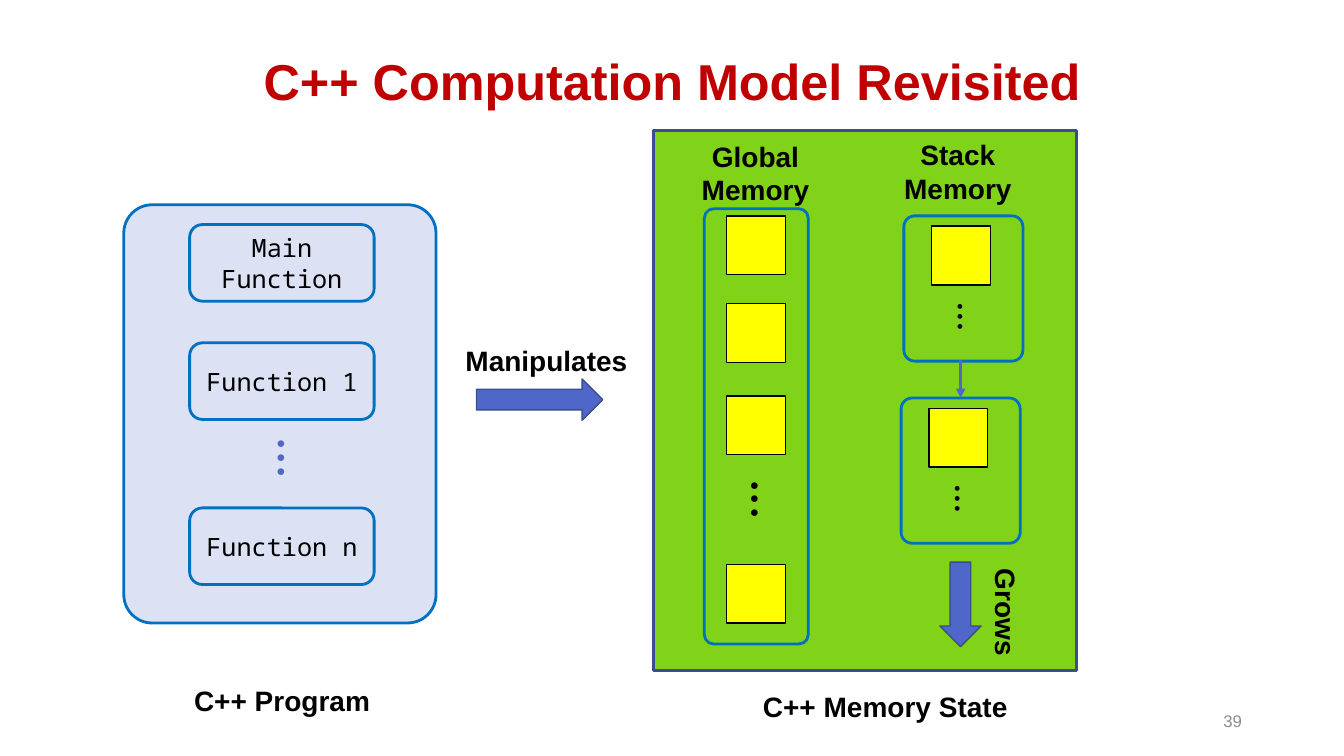
from dataclasses import dataclass

from lxml.etree import SubElement
from pptx import Presentation
from pptx.dml.color import RGBColor
from pptx.enum.shapes import MSO_CONNECTOR, MSO_SHAPE
from pptx.enum.text import MSO_ANCHOR, PP_ALIGN
from pptx.oxml.ns import qn
from pptx.shapes.autoshape import Shape
from pptx.slide import Slide
from pptx.util import Cm, Pt

COLORS = {
    "title": "C00000", "number": "8C8C8C", "text": "000000",
    "memory": "81D31A", "program": "DCE1F4", "cell": "FFFF00",
    "frame": "0070C0", "arrow": "4E67C8", "edge": "3A4C94",
}
CELL_SIZE = 1.48
FRAME_WIDTH, FRAME_HEIGHT = 3.0, 3.66
FUNCTION_LEFT, FUNCTION_WIDTH, FUNCTION_HEIGHT = 4.78, 4.65, 1.93
DOTS = "● ● ●"


@dataclass(frozen=True)
class Area:
    """A rectangle in centimetres."""
    left: float
    top: float
    width: float
    height: float

    def lengths(self) -> tuple:
        return tuple(Cm(n) for n in (self.left, self.top, self.width, self.height))


@dataclass(frozen=True)
class Block:
    area: Area
    kind: MSO_SHAPE = MSO_SHAPE.ROUNDED_RECTANGLE
    fill: str | None = None
    line: str = "frame"
    weight: float = 2
    corner: float | None = None
    rotation: float = 0


@dataclass(frozen=True)
class Label:
    area: Area
    text: str
    size: float = 20
    color: str = "text"
    bold: bool = True
    align: PP_ALIGN = PP_ALIGN.CENTER
    anchor: MSO_ANCHOR = MSO_ANCHOR.TOP
    font: str = "Arial"
    rotation: float = 0
    spacing: float = 1.0


def rgb(name: str) -> RGBColor:
    return RGBColor.from_string(COLORS[name])


def add_block(page: Slide, block: Block) -> Shape:
    shape = page.shapes.add_shape(block.kind, *block.area.lengths())
    shape.shadow.inherit = False
    shape.rotation = block.rotation
    if block.corner is not None:
        shape.adjustments[0] = block.corner
    if block.fill:
        shape.fill.solid()
        shape.fill.fore_color.rgb = rgb(block.fill)
    else:
        shape.fill.background()
    shape.line.color.rgb = rgb(block.line)
    shape.line.width = Pt(block.weight)
    return shape


def write(box: Shape, label: Label) -> None:
    frame = box.text_frame
    frame.word_wrap = True
    frame.vertical_anchor = label.anchor
    frame.text = label.text
    font_format = {"name": label.font, "size": Pt(label.size), "bold": label.bold}
    for para in frame.paragraphs:
        para.alignment = label.align
        para.line_spacing = label.spacing
        for span in para.runs:
            for name, value in font_format.items():
                setattr(span.font, name, value)
            span.font.color.rgb = rgb(label.color)


def add_label(page: Slide, label: Label) -> None:
    box = page.shapes.add_textbox(*label.area.lengths())
    box.rotation = label.rotation
    write(box, label)


def add_dots(page: Slide, left: float, top: float, height: float,
             size: float, color: str = "text") -> None:
    """Add a vertical ellipsis as a text box turned by 90 degrees."""
    add_label(page, Label(Area(left, top, 2.13, height), DOTS, size, color,
                          bold=False, align=PP_ALIGN.LEFT, rotation=90))


def add_cell(page: Slide, left: float, top: float) -> None:
    add_block(page, Block(Area(left, top, CELL_SIZE, CELL_SIZE),
                          MSO_SHAPE.RECTANGLE, "cell", "text", 1))


def add_stack_frame(page: Slide, left: float, top: float) -> None:
    add_cell(page, left + 0.7, top + 0.26)
    add_block(page, Block(Area(left, top, FRAME_WIDTH, FRAME_HEIGHT), corner=0.091))
    add_dots(page, left + 0.37, top + 2.72, 0.61, 8)


def add_function(page: Slide, text: str, top: float) -> None:
    area = Area(FUNCTION_LEFT, top, FUNCTION_WIDTH, FUNCTION_HEIGHT)
    write(add_block(page, Block(area)),
          Label(area, text, 18, bold=False, anchor=MSO_ANCHOR.MIDDLE,
                font="Noto Sans Mono"))


def add_block_arrow(page: Slide, area: Area, rotation: float = 0) -> None:
    add_block(page, Block(area, MSO_SHAPE.RIGHT_ARROW, "arrow", "edge", 1,
                          rotation=rotation))


def add_stack_link(page: Slide, x: float, top: float, bottom: float) -> None:
    link = page.shapes.add_connector(MSO_CONNECTOR.STRAIGHT,
                                     Cm(x), Cm(top), Cm(x), Cm(bottom))
    link.line.color.rgb = rgb("arrow")
    link.line.width = Pt(2.25)
    SubElement(link.line._get_or_add_ln(), qn("a:tailEnd"), type="triangle")
    SubElement(link._element.spPr, qn("a:effectLst"))


def draw_memory(page: Slide) -> None:
    add_block(page, Block(Area(16.46, 3.3, 10.67, 13.59), MSO_SHAPE.RECTANGLE,
                          "memory", "edge", 2.25))
    for top in (5.44, 7.65, 9.98, 14.22):
        add_cell(page, 18.31, top)
    add_dots(page, 17.98, 12.57, 0.74, 11)
    add_block(page, Block(Area(17.75, 5.26, 2.62, 10.97), corner=0.091))
    add_stack_frame(page, 22.78, 5.44)
    add_stack_frame(page, 22.71, 10.03)
    add_stack_link(page, 24.21, 9.07, 10.03)
    add_block_arrow(page, Area(23.14, 14.71, 2.13, 1.04), 90)


def draw_program(page: Slide) -> None:
    add_block(page, Block(Area(3.12, 5.16, 7.87, 10.54), fill="program", corner=0.091))
    for text, top in (("Main Function", 5.66), ("Function 1", 8.64),
                      ("Function n", 12.8)):
        add_function(page, text, top)
    add_dots(page, 6.05, 11.53, 0.74, 11, "arrow")
    add_block_arrow(page, Area(12.01, 9.55, 3.18, 1.04))


LABELS = (
    Label(Area(2.34, 1.02, 29.21, 2.18), "C++ Computation Model Revisited", 36,
          "title", anchor=MSO_ANCHOR.MIDDLE, spacing=0.9),
    Label(Area(17.15, 3.38, 3.78, 1.96), "Global\nMemory"),
    Label(Area(22.25, 3.35, 3.78, 1.96), "Stack\nMemory"),
    Label(Area(23.93, 14.94, 2.84, 1.12), "Grows", align=PP_ALIGN.LEFT, rotation=90),
    Label(Area(11.48, 8.53, 4.95, 1.12), "Manipulates", align=PP_ALIGN.LEFT),
    Label(Area(4.19, 17.09, 5.84, 1.12), "C++ Program"),
    Label(Area(18.31, 17.25, 8.0, 1.12), "C++ Memory State"),
    Label(Area(23.93, 17.65, 7.62, 1.02), "39", 12, "number", False,
          PP_ALIGN.RIGHT, MSO_ANCHOR.MIDDLE),
)


def main() -> None:
    deck = Presentation()
    deck.slide_width, deck.slide_height = Cm(33.87), Cm(19.05)
    page = deck.slides.add_slide(deck.slide_layouts[6])
    draw_memory(page)
    draw_program(page)
    for label in LABELS:
        add_label(page, label)
    deck.save("out.pptx")


if __name__ == "__main__":
    main()
